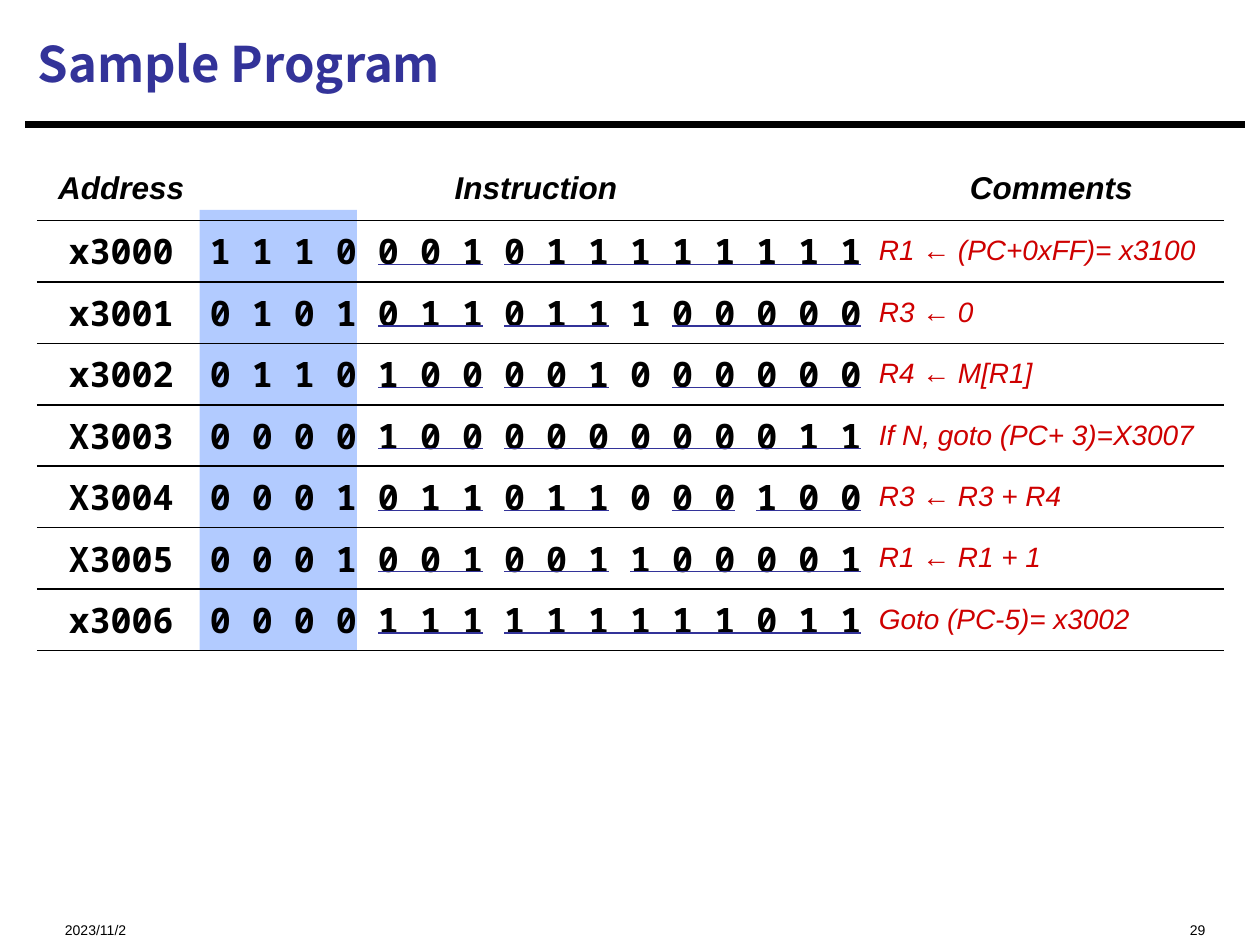
from dataclasses import dataclass

from lxml import etree
from pptx import Presentation
from pptx.dml.color import RGBColor
from pptx.enum import shapes, text
from pptx.oxml import parse_xml
from pptx.oxml.ns import nsdecls, qn
from pptx.util import Pt


@dataclass(frozen=True)
class Theme:
    ink: str = "000000"
    accent: str = "333399"
    band: str = "6699FF"
    comment: str = "CE0000"
    sans: str = "Arial"
    mono: str = "Noto Sans Mono"
    heading: str = "Noto Sans CJK SC"
    title_size: float = 28
    header_size: float = 18
    code_size: float = 20
    comment_size: float = 16
    footer_size: float = 8


theme = Theme()

LEFT, CENTER, RIGHT = text.PP_ALIGN.LEFT, text.PP_ALIGN.CENTER, text.PP_ALIGN.RIGHT
HEADERS = ["Address", "Instruction", "Comments"]
PROGRAM = [
    ("x3000", "1110001011111111", "R1 ← (PC+0xFF)= x3100", [(4, 3), (7, 9)]),
    ("x3001", "0101011011100000", "R3 ← 0", [(4, 3), (7, 3), (11, 5)]),
    ("x3002", "0110100001000000", "R4 ← M[R1]", [(4, 3), (7, 3), (11, 5)]),
    ("X3003", "0000100000000011", "If N, goto (PC+ 3)=X3007", [(4, 3), (7, 9)]),
    ("X3004", "0001011011000100", "R3 ← R3 + R4", [(4, 3), (7, 3), (11, 2), (13, 3)]),
    ("X3005", "0001001001100001", "R1 ← R1 + 1", [(4, 3), (7, 3), (10, 6)]),
    ("x3006", "0000111111111011", "Goto (PC-5)= x3002", [(4, 3), (7, 9)]),
]
ROW_HEIGHT = 35.1
COLUMN_WIDTHS = [89.3, 384.8, 204.1]
BIT_LEFT, BIT_PITCH, BIT_WIDTH = 120, 24, 12
UNDERLINE_TOP = 151.2


def write(frame, content, size, face, color, align=LEFT, bold=False, italic=False):
    paragraph = frame.paragraphs[0]
    paragraph.text = content
    paragraph.alignment = align
    font = paragraph.font
    font.size, font.name, font.bold, font.italic = Pt(size), face, bold, italic
    font.color.rgb = RGBColor.from_string(color)


def draw_rule(x1, x2, y, color, width):
    rule = slide.shapes.add_connector(
        shapes.MSO_CONNECTOR.STRAIGHT, Pt(x1), Pt(y), Pt(x2), Pt(y))
    rule.line.color.rgb = RGBColor.from_string(color)
    rule.line.width = Pt(width)
    etree.SubElement(rule._element.spPr, qn("a:effectLst"))


deck = Presentation()
deck.slide_width, deck.slide_height = Pt(720), Pt(540)
slide = deck.slides.add_slide(deck.slide_layouts[5])

title = slide.shapes.title
title.left, title.top, title.width, title.height = Pt(14.4), Pt(5.8), Pt(696), Pt(60.5)
title.text_frame.auto_size = text.MSO_AUTO_SIZE.NONE
title.text_frame.vertical_anchor = text.MSO_ANCHOR.MIDDLE
write(title.text_frame, "Sample Program", theme.title_size, theme.heading,
      theme.accent, bold=True)
draw_rule(14.4, 711.4, 71.3, theme.ink, 3.75)

for content, left, width, align in [("2023/11/2", 30, 180, LEFT), ("29", 480, 216, RIGHT)]:
    footer = slide.shapes.add_textbox(Pt(left), Pt(515), Pt(width), Pt(19.4)).text_frame
    footer.word_wrap = True
    footer.margin_top, footer.margin_bottom = Pt(13), 0
    write(footer, content, theme.footer_size, theme.sans, theme.ink, align)

opcode_band = slide.shapes.add_shape(
    shapes.MSO_SHAPE.RECTANGLE, Pt(114), Pt(120), Pt(90), Pt(252))
opcode_band.shadow.inherit = False
opcode_band.line.fill.background()
opcode_band.fill.solid()
opcode_band.fill.fore_color.rgb = RGBColor.from_string(theme.band)
band_color = opcode_band._element.spPr.find(qn("a:solidFill"))[0]
etree.SubElement(band_color, qn("a:alpha")).set("val", "50000")

row_count = len(PROGRAM) + 1
listing = slide.shapes.add_table(
    row_count, len(HEADERS), Pt(21), Pt(90),
    Pt(sum(COLUMN_WIDTHS)), Pt(ROW_HEIGHT * row_count)).table
listing.first_row = listing.horz_banding = False
table_style = listing._tbl.tblPr.find(qn("a:tableStyleId"))
table_style.text = "{2D5ABB26-0587-4C30-8999-92F81FD0307C}"
for column, width in zip(listing.columns, COLUMN_WIDTHS):
    column.width = Pt(width)

header_style = (theme.header_size, theme.sans, theme.ink, CENTER, True, True)
code_style = (theme.code_size, theme.mono, theme.ink, CENTER, True, False)
comment_style = (theme.comment_size, theme.sans, theme.comment, LEFT, False, True)
row_styles = [code_style, code_style, comment_style]
lines = [HEADERS] + [(address, " ".join(bits), comment)
                     for address, bits, comment, fields in PROGRAM]

for r, contents in enumerate(lines):
    listing.rows[r].height = Pt(ROW_HEIGHT)
    for c, content in enumerate(contents):
        cell = listing.cell(r, c)
        cell.vertical_anchor = text.MSO_ANCHOR.MIDDLE
        cell.margin_left, cell.margin_right = Pt(7.2), 0
        cell.margin_top = cell.margin_bottom = Pt(7.2 if r == 0 else 0)
        cell.fill.background()
        cell._tc.get_or_add_tcPr().insert(0, parse_xml(
            f'<a:lnB {nsdecls("a")} w="12700"><a:solidFill>'
            f'<a:srgbClr val="{theme.ink}"/></a:solidFill></a:lnB>'))
        write(cell.text_frame, content, *(header_style if r == 0 else row_styles[c]))

for r, (address, bits, comment, fields) in enumerate(PROGRAM):
    for first_bit, bit_count in fields:
        start = BIT_LEFT + BIT_PITCH * first_bit
        end = start + BIT_PITCH * bit_count - BIT_WIDTH
        draw_rule(start, end, UNDERLINE_TOP + ROW_HEIGHT * r, theme.accent, 0.75)

deck.save("out.pptx")
